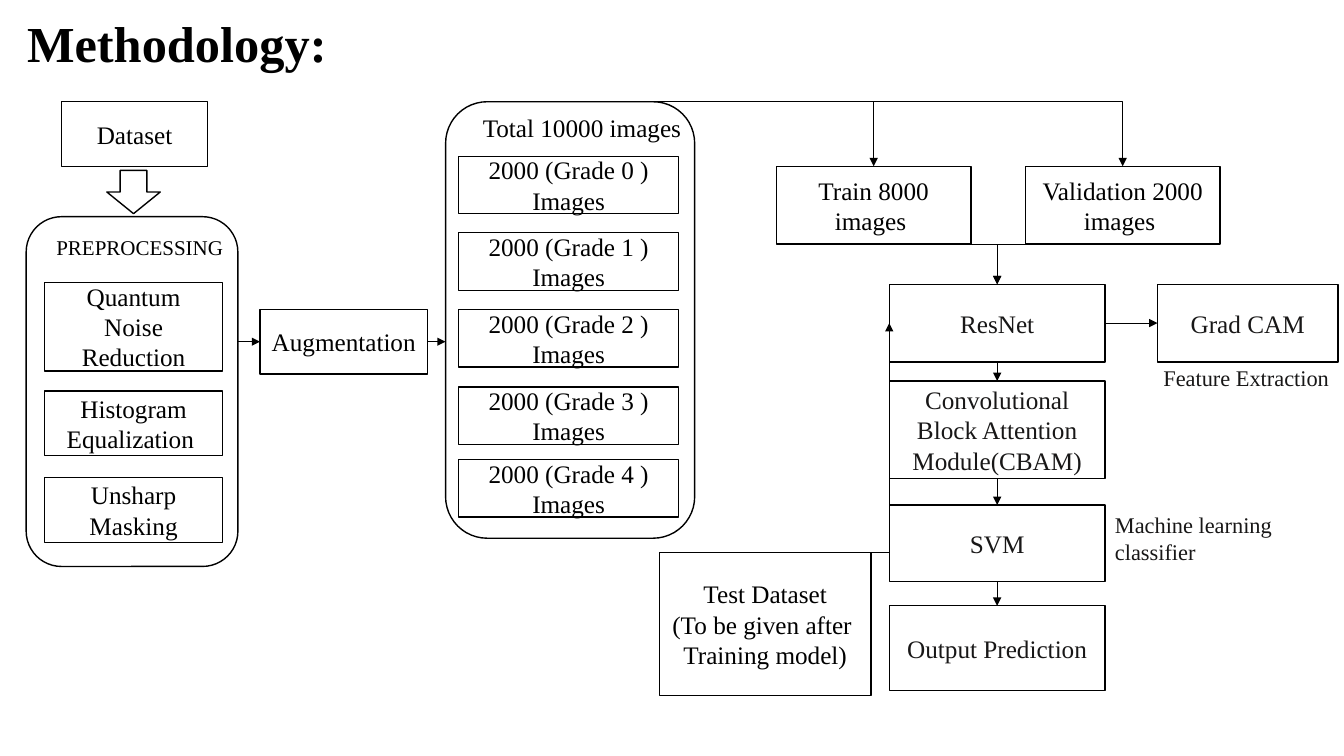
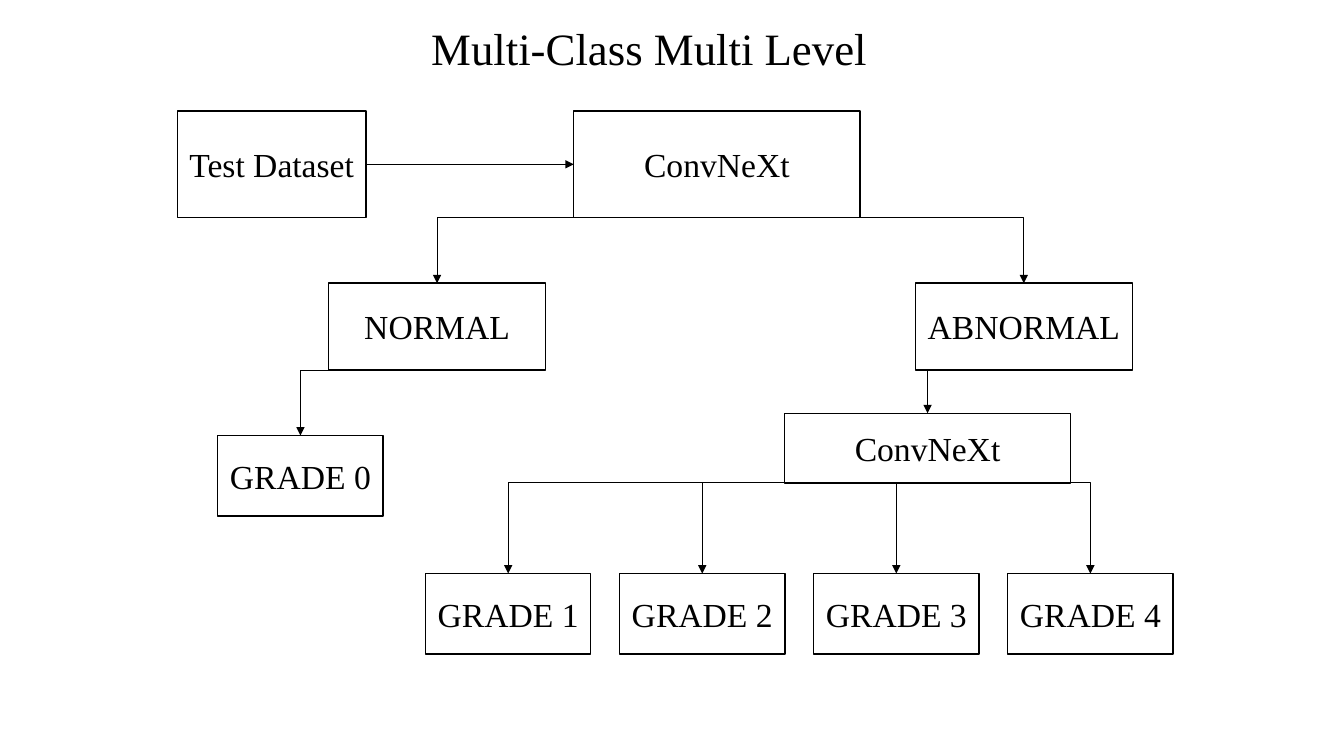
from lxml import etree
from pptx import Presentation
from pptx.dml.color import RGBColor
from pptx.enum import shapes, text
from pptx.oxml.ns import qn
from pptx.util import Inches, Pt

BLACK = RGBColor(0x00, 0x00, 0x00)
INK = RGBColor(0x18, 0x17, 0x17)
WHITE = RGBColor(0xFF, 0xFF, 0xFF)
FONT = "Times New Roman"
SHAPE = shapes.MSO_SHAPE
CONNECTOR = shapes.MSO_CONNECTOR
CENTER = text.PP_ALIGN.CENTER
MIDDLE = text.MSO_ANCHOR.MIDDLE

GRADE_TOPS = [1.55, 2.31, 3.07, 3.84, 4.56]
PREPROCESSING = [
    ("Quantum Noise Reduction", 2.8, 0.88),
    ("Histogram Equalization ", 3.88, 0.64),
    ("Unsharp Masking", 4.74, 0.64),
]
MODEL_STEPS = [
    ("ResNet", 2.82, 0.77),
    ("Convolutional Block Attention Module(CBAM)", 3.78, 0.97),
    ("SVM", 5.01, 0.76),
    ("Output Prediction", 6.01, 0.84),
]
PIPELINE = {
    "dataset": ("Dataset", 0.61, 1.01, 1.45, 0.64),
    "train": ("Train 8000 images ", 7.7, 1.65, 1.93, 0.77),
    "validation": ("Validation 2000 images ", 10.17, 1.65, 1.93, 0.77),
    "augmentation": ("Augmentation", 2.58, 3.07, 1.66, 0.64),
    "test": ("Test Dataset\n(To be given after \nTraining model)", 6.54, 5.48, 2.1, 1.42),
}
PREP_PANEL = (0.26, 2.15, 2.1, 3.47)
IMAGES_PANEL = (4.42, 1.01, 2.47, 4.33)
GRAD_CAM = ("Grad CAM", 11.48, 2.82, 1.79, 0.77)

LEVELS = {
    "test": ("Test Dataset", 1.76, 1.1, 1.87, 1.06),
    "first": ("ConvNeXt", 5.69, 1.1, 2.84, 1.06),
    "normal": ("NORMAL", 3.26, 2.81, 2.15, 0.86),
    "abnormal": ("ABNORMAL", 9.08, 2.81, 2.15, 0.86),
    "grade0": ("GRADE 0", 2.16, 4.32, 1.64, 0.8),
    "second": ("ConvNeXt", 7.78, 4.1, 2.84, 0.69),
}
GRADES = [(f"GRADE {n}", 4.22 + 1.925 * (n - 1), 5.69, 1.64, 0.8) for n in range(1, 5)]


def write(sp, words, size=18, color=BLACK, bold=False, align=None, anchor=None,
          spacing=None, wrap=True):
    tf = sp.text_frame
    tf.word_wrap = wrap
    tf.vertical_anchor = anchor
    for i, line in enumerate(words.split("\n")):
        p = tf.add_paragraph() if i else tf.paragraphs[0]
        p.alignment = align
        p.line_spacing = spacing
        r = p.add_run()
        r.text = line
        r.font.name, r.font.size, r.font.bold = FONT, Pt(size), bold
        r.font.color.rgb = color


def add_label(s, words, area, **fmt):
    write(s.shapes.add_textbox(*map(Inches, area)), words, **fmt)


def add_outline(s, kind, area):
    sp = s.shapes.add_shape(kind, *map(Inches, area))
    sp.shadow.inherit = False
    sp.fill.solid()
    sp.fill.fore_color.rgb = WHITE
    sp.line.color.rgb = BLACK
    sp.line.width = Pt(1)
    return sp


def add_box(s, box, **fmt):
    write(add_outline(s, SHAPE.RECTANGLE, box[1:]), box[0], align=CENTER, anchor=MIDDLE, **fmt)


def add_arrow(s, x1, y1, x2, y2, width=0.5, kind=CONNECTOR.STRAIGHT):
    cx = s.shapes.add_connector(kind, *map(Inches, (x1, y1, x2, y2)))
    cx.line.color.rgb = BLACK
    cx.line.width = Pt(width)
    etree.SubElement(cx.line._get_or_add_ln(), qn("a:tailEnd"), type="triangle")
    etree.SubElement(cx._element.spPr, qn("a:effectLst"))
    return cx


def add_elbow(s, x1, y1, x2, y2):
    cx = add_arrow(s, x1, y1, x2, y2, kind=CONNECTOR.ELBOW)
    sp_pr = cx._element.spPr
    sp_pr.find(qn("a:prstGeom")).set("prst", "bentConnector2")
    if x2 < x1:
        xfrm = sp_pr.find(qn("a:xfrm"))
        del xfrm.attrib["flipH"]
        xfrm.set("rot", "10800000")
        xfrm.set("flipV", "1")


def center(box):
    return box[1] + box[3] / 2


def middle(box):
    return box[2] + box[4] / 2


def bottom(box):
    return box[2] + box[4]


def add_tree(s, parent, children):
    for child in children:
        add_elbow(s, center(parent), bottom(parent), center(child), child[2])


def build_methodology(s):
    for panel in (PREP_PANEL, IMAGES_PANEL):
        add_outline(s, SHAPE.ROUNDED_RECTANGLE, panel)
    add_outline(s, SHAPE.DOWN_ARROW, (1.06, 1.69, 0.53, 0.43))
    for n, top in enumerate(GRADE_TOPS):
        add_box(s, (f"2000 (Grade {n} ) Images", 4.55, top, 2.18, 0.57))
    for words, top, height in PREPROCESSING:
        add_box(s, (words, 0.44, top, 1.77, height))
    for box in PIPELINE.values():
        add_box(s, box)
    steps = [(words, 8.82, top, 2.14, height) for words, top, height in MODEL_STEPS]
    for box in steps + [GRAD_CAM]:
        add_box(s, box, color=INK)

    add_label(s, "Methodology:", (0.17, 0.13, 4.41, 0.66), size=36, bold=True,
              anchor=MIDDLE, spacing=0.9)
    add_label(s, "Total 10000 images", (4.69, 1.07, 2.2, 0.4), wrap=False)
    add_label(s, "PREPROCESSING", (0.46, 2.28, 1.92, 0.35), size=15)
    add_label(s, "Machine learning\nclassifier", (10.96, 5.02, 1.79, 0.64), size=16, color=INK)
    add_label(s, "Feature Extraction", (11.44, 3.56, 1.95, 0.37), size=16, color=INK)

    test, augmentation = PIPELINE["test"], PIPELINE["augmentation"]
    resnet = steps[0]
    images_center = IMAGES_PANEL[0] + IMAGES_PANEL[2] / 2
    for split in (PIPELINE["train"], PIPELINE["validation"]):
        add_elbow(s, images_center, IMAGES_PANEL[1], center(split), split[2])
        add_tree(s, split, [resnet])
    add_elbow(s, center(test), test[2], resnet[1], middle(resnet))
    for upper, lower in zip(steps, steps[1:]):
        add_arrow(s, center(upper), bottom(upper), center(lower), lower[2])
    y = middle(augmentation)
    add_arrow(s, PREP_PANEL[0] + PREP_PANEL[2], y, augmentation[1], y)
    add_arrow(s, augmentation[1] + augmentation[3], y, IMAGES_PANEL[0], y)
    y = middle(resnet)
    add_arrow(s, resnet[1] + resnet[3], y, GRAD_CAM[1], y)


def build_levels(s):
    for box in [*LEVELS.values(), *GRADES]:
        add_box(s, box, size=24)
    add_label(s, "Multi-Class Multi Level", (1.43, 0.16, 10.02, 0.64), size=32, align=CENTER)
    test, first, normal, abnormal, grade0, second = LEVELS.values()
    add_arrow(s, test[1] + test[3], middle(test), first[1], middle(first), width=1)
    add_tree(s, first, [normal, abnormal])
    add_tree(s, normal, [grade0])
    add_tree(s, abnormal, [second])
    add_tree(s, second, GRADES)


def main():
    prs = Presentation()
    prs.slide_width, prs.slide_height = Inches(13.33), Inches(7.5)
    for build in (build_methodology, build_levels):
        build(prs.slides.add_slide(prs.slide_layouts[6]))
    prs.save("out.pptx")


if __name__ == "__main__":
    main()
